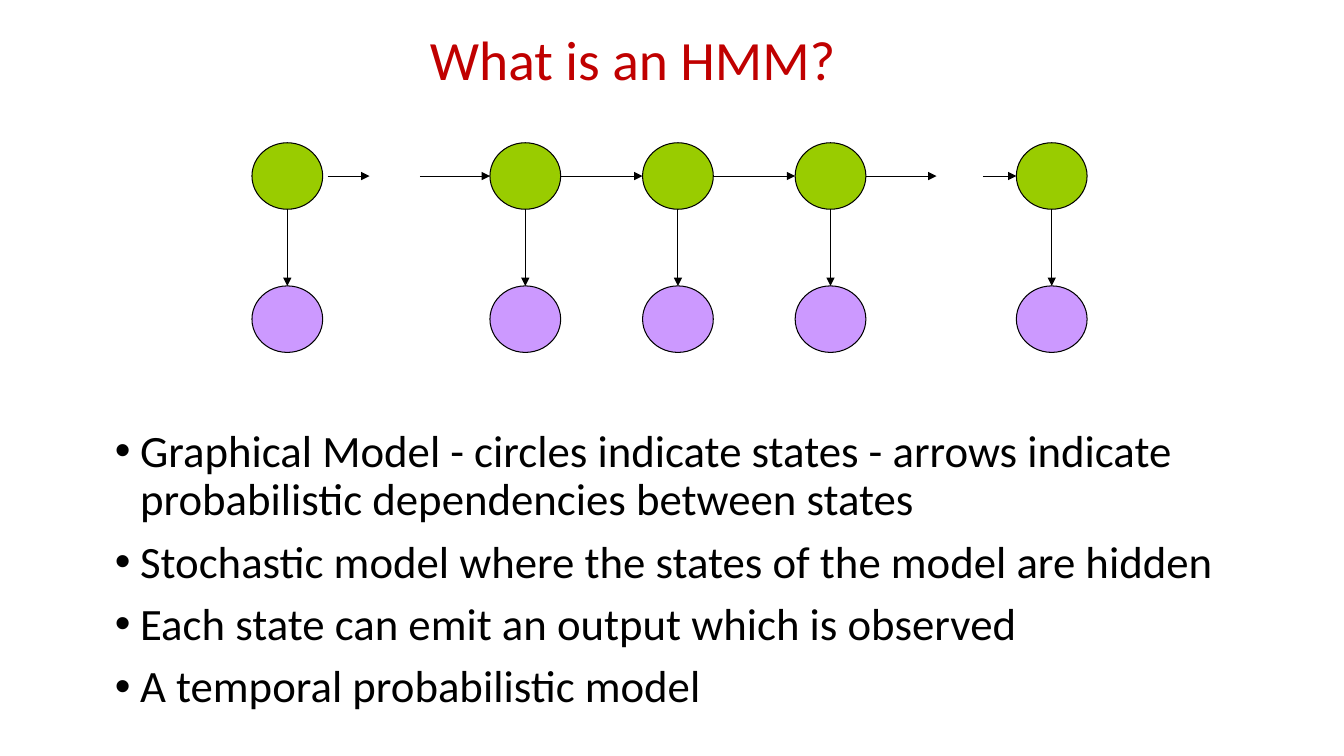
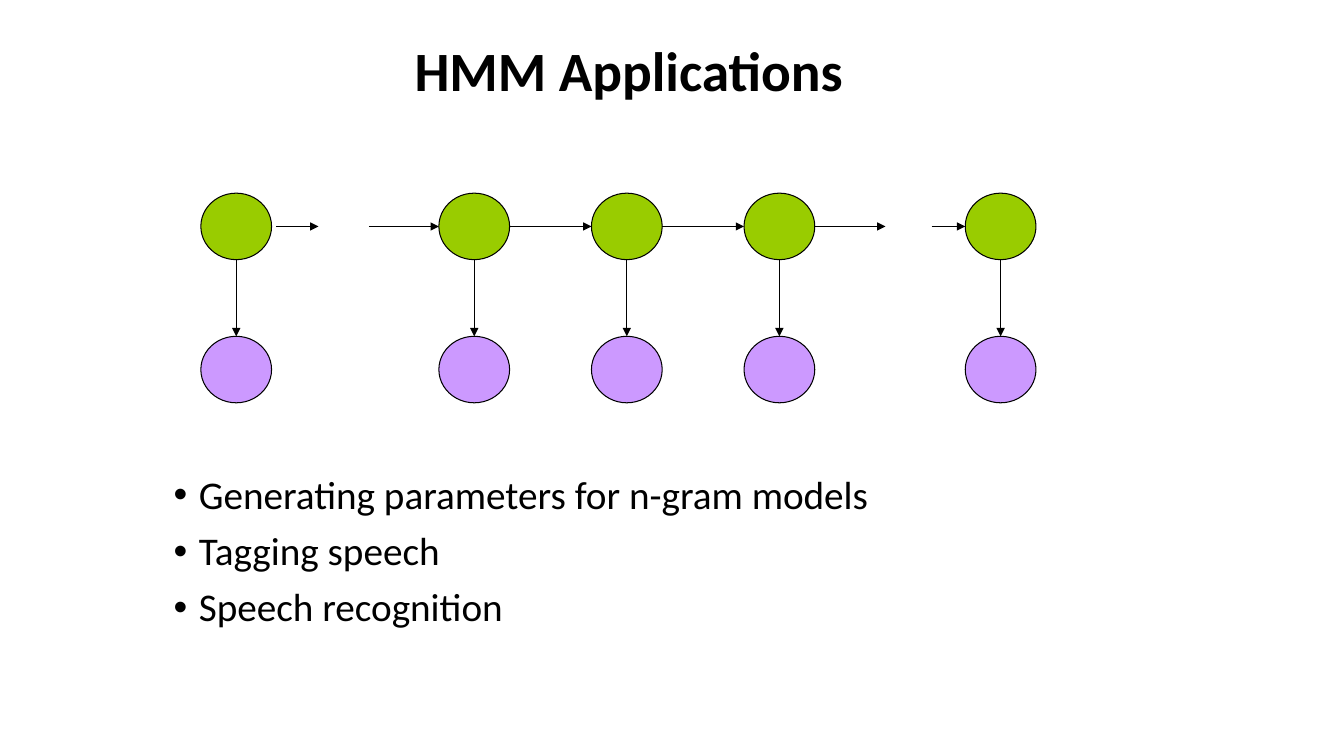
from dataclasses import dataclass

from lxml import etree
from pptx import Presentation
from pptx.dml.color import RGBColor
from pptx.enum import shapes, text
from pptx.oxml import ns
from pptx.util import Pt


@dataclass(frozen=True)
class Theme:
    font: str = "Calibri"
    black: str = "000000"
    red: str = "C00000"
    hidden: str = "99CC00"
    observed: str = "CC99FF"
    title_size: float = 39.6
    line_width: float = 0.75
    line_spacing: float = 0.9
    space_before: float = 10
    indent: float = 18


THEME = Theme()

NODE_W, NODE_H = 50.5, 47.5
ROW_PITCH = 102.25
MIDDLE_LEFT, MIDDLE_PITCH = 170, 109
LAST_LEFT = 546
MIDDLE_COLS = [MIDDLE_LEFT + i * MIDDLE_PITCH for i in range(3)]
COLUMNS = [0, *MIDDLE_COLS, LAST_LEFT]
TRANSITIONS = [
    (54, 84),
    (120, MIDDLE_COLS[0]),
    *((a + NODE_W, b) for a, b in zip(MIDDLE_COLS, MIDDLE_COLS[1:])),
    (MIDDLE_COLS[-1] + NODE_W, 489),
    (522, LAST_LEFT),
]


def rgb(color):
    return RGBColor.from_string(color)


def add_text(s, box, lines, size, color, bold=False):
    tf = s.shapes.add_textbox(*map(Pt, box)).text_frame
    tf.word_wrap = True
    tf.text = "\n".join(lines)
    for p in tf.paragraphs:
        p.line_spacing = THEME.line_spacing
        font = p.runs[0].font
        font.name, font.size, font.bold = THEME.font, Pt(size), bold
        font.color.rgb = rgb(color)
    return tf


def add_title(s, box, title, color, bold):
    tf = add_text(s, box, [title], THEME.title_size, color, bold)
    tf.vertical_anchor = text.MSO_ANCHOR.MIDDLE


def add_bullets(s, box, lines, size):
    tf = add_text(s, box, lines, size, THEME.black)
    for p in tf.paragraphs:
        p.space_before = Pt(THEME.space_before)
        pPr = p._p.get_or_add_pPr()
        pPr.set("marL", str(Pt(THEME.indent)))
        pPr.set("indent", str(-Pt(THEME.indent)))
        etree.SubElement(pPr, ns.qn("a:buFont")).set("typeface", "Arial")
        etree.SubElement(pPr, ns.qn("a:buChar")).set("char", "•")


def add_node(group, x, y, color):
    sp = group.shapes.add_shape(
        shapes.MSO_SHAPE.OVAL, Pt(x), Pt(y), Pt(NODE_W), Pt(NODE_H))
    sp.shadow.inherit = False
    sp.fill.solid()
    sp.fill.fore_color.rgb = rgb(color)
    sp.line.color.rgb = rgb(THEME.black)
    sp.line.width = Pt(THEME.line_width)


def add_arrow(group, x1, y1, x2, y2):
    cxn = group.shapes.add_connector(
        shapes.MSO_CONNECTOR.STRAIGHT, Pt(x1), Pt(y1), Pt(x2), Pt(y2))
    cxn.line.color.rgb = rgb(THEME.black)
    cxn.line.width = Pt(THEME.line_width)
    tail = etree.SubElement(cxn.line._get_or_add_ln(), ns.qn("a:tailEnd"))
    tail.set("type", "triangle")
    etree.SubElement(cxn._element.spPr, ns.qn("a:effectLst"))


def add_model(s, left, top):
    group = s.shapes.add_group_shape()
    for col in COLUMNS:
        x = left + col
        add_node(group, x, top, THEME.hidden)
        add_node(group, x, top + ROW_PITCH, THEME.observed)
        mid_x = x + NODE_W / 2
        add_arrow(group, mid_x, top + NODE_H, mid_x, top + ROW_PITCH)
    mid_y = top + NODE_H / 2
    for start, end in TRANSITIONS:
        add_arrow(group, left + start, mid_y, left + end, mid_y)


def add_model_slide(prs, title, title_box, title_color, title_bold,
                    model_at, bullets, bullet_box, bullet_size):
    s = prs.slides.add_slide(prs.slide_layouts[6])
    add_title(s, title_box, title, title_color, title_bold)
    add_bullets(s, bullet_box, bullets, bullet_size)
    add_model(s, *model_at)


def main():
    prs = Presentation()
    prs.slide_width, prs.slide_height = Pt(960), Pt(540)
    add_model_slide(
        prs,
        title="What is an HMM?",
        title_box=(300, 18, 316, 54),
        title_color=THEME.red,
        title_bold=False,
        model_at=(180, 102),
        bullets=[
            "Graphical Model - circles indicate states - arrows indicate "
            "probabilistic dependencies between states",
            "Stochastic model where the states of the model are hidden",
            "Each state can emit an output which is observed",
            "A temporal probabilistic model",
        ],
        bullet_box=(75, 302.5, 811, 215),
        bullet_size=32,
    )
    add_model_slide(
        prs,
        title="HMM Applications",
        title_box=(289, 28.5, 322, 48),
        title_color=THEME.black,
        title_bold=True,
        model_at=(143.5, 138),
        bullets=[
            "Generating parameters for n-gram models",
            "Tagging speech",
            "Speech recognition",
        ],
        bullet_box=(117, 336, 612, 125),
        bullet_size=28,
    )
    prs.save("out.pptx")


if __name__ == "__main__":
    main()
